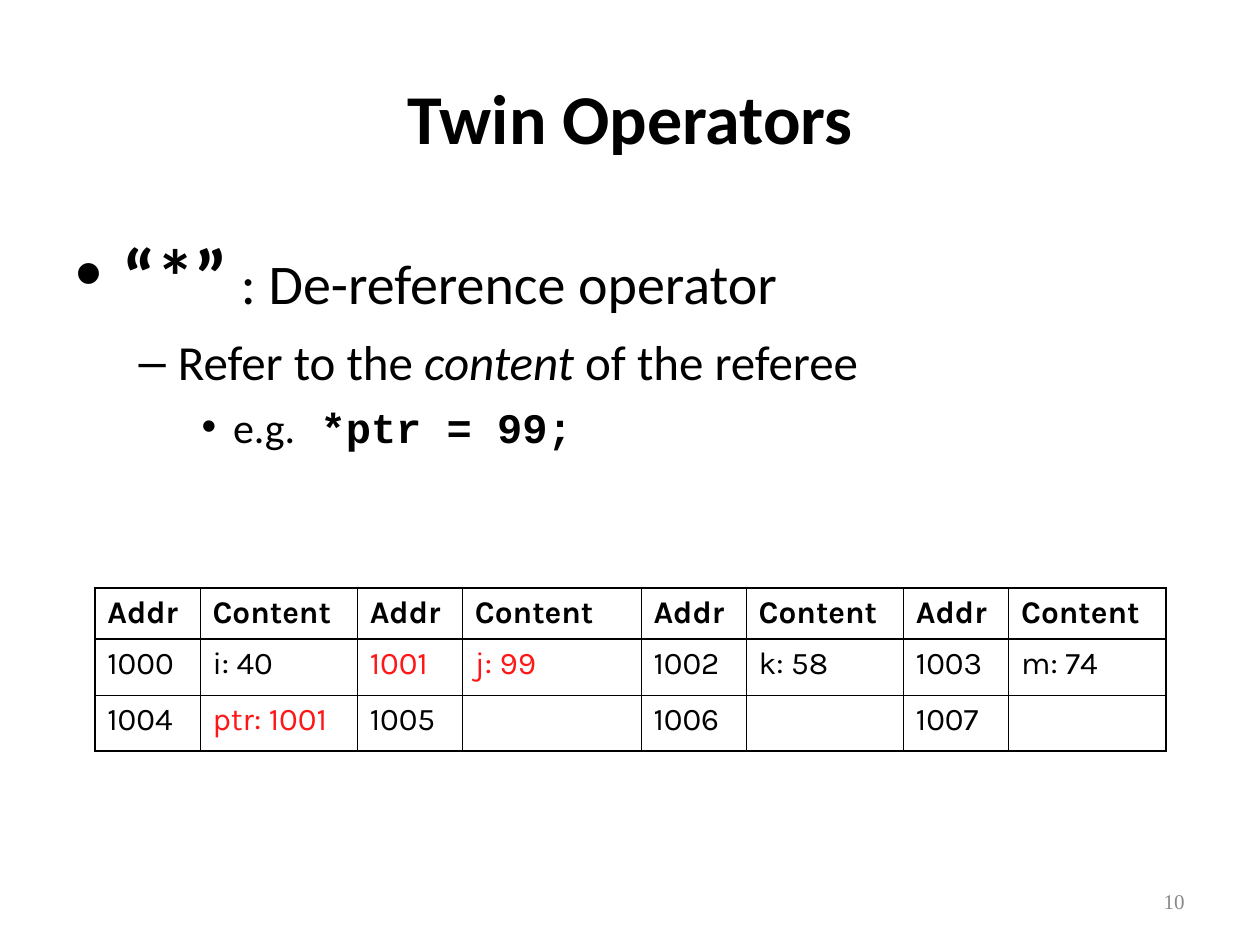
from dataclasses import dataclass

from lxml import etree
from pptx import Presentation
from pptx.dml.color import RGBColor
from pptx.enum.text import MSO_ANCHOR as Anchor, MSO_AUTO_SIZE as AutoSize, PP_ALIGN as Align
from pptx.oxml.ns import qn
from pptx.util import Cm, Pt


@dataclass(frozen=True)
class Theme:
    ink: str = "000000"
    accent: str = "FF1717"
    muted: str = "898989"
    text_font: str = "Calibri"
    code_font: str = "Courier New"
    table_font: str = "Karla"
    number_font: str = "Times New Roman"
    title_size: float = 40
    operator_size: float = 44
    level_sizes: tuple = (32, 28, 24)
    table_size: float = 18
    number_size: float = 12
    outer_line: float = 1.08
    inner_line: float = 0.45


theme = Theme()


def style(font, name, size, color=theme.ink, bold=False, italic=False):
    font.name = name
    font.size = Pt(size)
    font.color.rgb = RGBColor.from_string(color)
    font.bold = bold
    font.italic = italic


def add_border(cell, side, width):
    line = etree.SubElement(cell._tc.get_or_add_tcPr(), qn(f"a:ln{side}"), w=str(Pt(width)))
    fill = etree.SubElement(line, qn("a:solidFill"))
    etree.SubElement(fill, qn("a:srgbClr"), val=theme.ink)


prs = Presentation()
prs.slide_width, prs.slide_height = Cm(25.4), Cm(19.05)
slide = prs.slides.add_slide(prs.slide_layouts[1])

# Title
title = slide.shapes.title
title.left, title.top, title.width, title.height = Cm(1.27), Cm(0.76), Cm(22.86), Cm(3.18)
title.text_frame.text = "Twin Operators"
title.text_frame.vertical_anchor = Anchor.MIDDLE
heading = title.text_frame.paragraphs[0]
heading.alignment = Align.CENTER
style(heading.runs[0].font, theme.text_font, theme.title_size, bold=True)

# Operator description: one list of (text, format changes) per level
description = [
    [("“*”", {"size": theme.operator_size, "bold": True}), (" : De-reference operator", {})],
    [("Refer to the ", {}), ("content", {"italic": True}), (" of the referee", {})],
    [("e.g.", {}), (" *ptr = 99;", {"name": theme.code_font, "bold": True})],
]
body = slide.placeholders[1]
body.left, body.top, body.width, body.height = Cm(1.27), Cm(4.45), Cm(22.86), Cm(12.57)
body.text_frame.auto_size = AutoSize.NONE
for level, (parts, space) in enumerate(zip(description, (0, 7, 6))):
    point = body.text_frame.paragraphs[0] if level == 0 else body.text_frame.add_paragraph()
    point.level = level
    point.space_before = Pt(space)
    for text, changes in parts:
        run = point.add_run()
        run.text = text
        style(run.font, **{"name": theme.text_font, "size": theme.level_sizes[level], **changes})

# Memory table
memory = [
    ["Addr", "Content"] * 4,
    ["1000", "i: 40", "1001", "j: 99", "1002", "k: 58", "1003", "m: 74"],
    ["1004", "ptr: 1001", "1005", "", "1006", "", "1007", ""],
]
highlighted = {"1001", "j: 99", "ptr: 1001"}
column_widths = [2.12, 3.17, 2.12, 3.6, 2.12, 3.17, 2.12, 3.17]
row_heights = [1.02, 1.13, 1.13]
last_row, last_column = len(row_heights) - 1, len(column_widths) - 1
table = slide.shapes.add_table(
    len(row_heights), len(column_widths),
    Cm(1.91), Cm(11.86), Cm(sum(column_widths)), Cm(sum(row_heights)),
).table
for column, width in zip(table.columns, column_widths):
    column.width = Cm(width)
for row, height in zip(table.rows, row_heights):
    row.height = Cm(height)
for r, values in enumerate(memory):
    for c, value in enumerate(values):
        cell = table.cell(r, c)
        cell.text = value
        entry = cell.text_frame.paragraphs[0]
        color = theme.accent if value in highlighted else theme.ink
        for run in entry.runs:
            style(run.font, theme.table_font, theme.table_size, color, bold=r == 0)
        # Heavy lines run round the table and under the header
        heavy_sides = {"L": c == 0, "R": c == last_column, "T": r <= 1, "B": r in (0, last_row)}
        for side, heavy in heavy_sides.items():
            add_border(cell, side, theme.outer_line if heavy else theme.inner_line)
        cell.fill.background()

# Slide number
number = slide.shapes.add_textbox(Cm(18.2), Cm(17.66), Cm(5.93), Cm(1.01)).text_frame
number.word_wrap = True
number.vertical_anchor = Anchor.MIDDLE
number.text = "10"
number.paragraphs[0].alignment = Align.RIGHT
style(number.paragraphs[0].runs[0].font, theme.number_font, theme.number_size, theme.muted)

prs.save("out.pptx")
